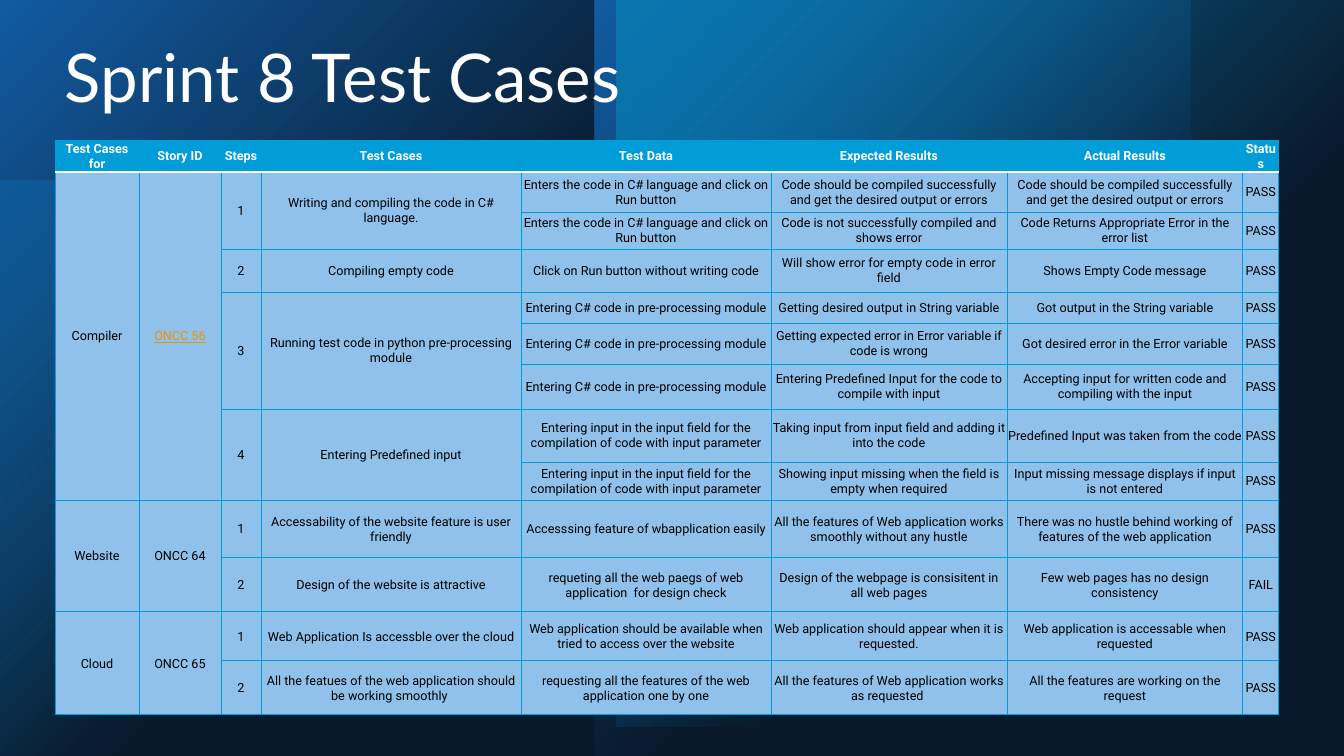
from pptx import Presentation
from pptx.dml.color import RGBColor as RGB
from pptx.enum.shapes import MSO_SHAPE as Shape
from pptx.enum.text import MSO_ANCHOR as Anchor, PP_ALIGN as Align
from pptx.oxml import parse_xml as to_xml
from pptx.oxml.ns import nsdecls
from pptx.util import Pt

TITLE = "Sprint 8 Test Cases"
HEAD = ["Test Cases for", "Story ID", "Steps", "Test Cases", "Test Data",
        "Expected Results", "Actual Results", "Status"]
RUN = "Enters the code in C# language and click on Run button"
PRE = "Entering C# code in pre-processing module"
FIELD = "Entering input in the input field for the compilation of code with input parameter"
GOOD = "Code should be compiled successfully and get the desired output or errors"
ROWS = [
    HEAD,
    ["Compiler", "ONCC 56", "1", "Writing and compiling the code in C# language.",
     RUN, GOOD, GOOD, "PASS"],
    [None, None, None, None, RUN, "Code is not successfully compiled and shows error",
     "Code Returns Appropriate Error in the error list", "PASS"],
    [None, None, "2", "Compiling empty code", "Click on Run button without writing code",
     "Will show error for empty code in error field", "Shows Empty Code message", "PASS"],
    [None, None, "3", "Running test code in python pre-processing module", PRE,
     "Getting desired output in String variable", "Got output in the String variable", "PASS"],
    [None, None, None, None, PRE, "Getting expected error in Error variable if code is wrong",
     "Got desired error in the Error variable", "PASS"],
    [None, None, None, None, PRE, "Entering Predefined Input for the code to compile with input",
     "Accepting input for written code and compiling with the input", "PASS"],
    [None, None, "4", "Entering Predefined input", FIELD,
     "Taking input from input field and adding it into the code",
     "Predefined Input was taken from the code ", "PASS"],
    [None, None, None, None, FIELD,
     "Showing input missing when the field is empty when required",
     "Input missing message displays if input is not entered", "PASS"],
    ["Website", "ONCC 64", "1", "Accessability of the website feature is user friendly",
     "Accesssing feature of wbapplication easily",
     "All the features of Web application works smoothly without any hustle",
     "There was no hustle behind working of features of the web application", "PASS"],
    [None, None, "2", "Design of the website is attractive",
     "requeting all the web paegs of web application  for design check",
     "Design of the webpage is consisitent in all web pages",
     "Few web pages has no design consistency", "FAIL"],
    ["Cloud", "ONCC 65", "1", "Web Application Is accessble over the cloud",
     "Web application should be available when tried to access over the website",
     "Web application should appear when it is requested.",
     "Web application is accessable when requested", "PASS"],
    [None, None, "2", "All the featues of the web application should be working smoothly ",
     "requesting all the features of the web application one by one",
     "All the features of Web application works as requested ",
     "All the features are working on the request", "PASS"],
]
WIDE = [84, 82, 40, 260, 250, 236, 236, 36]
HIGH = [32, 40, 37, 43, 31, 41, 45, 53, 38, 58, 54, 49, 54]

BLACK = RGB(0, 0, 0)
WHITE = RGB(255, 255, 255)
BLUE = RGB(0x0F, 0x6F, 0xC6)
CYAN = RGB(0x00, 0x9D, 0xD9)
NAVY = RGB(0x17, 0x40, 0x6D)
PALE = RGB(0x90, 0xC1, 0xEB)
GOLD = RGB(0xF4, 0x91, 0x00)

GLOWS = [
    ((0, 181, 576, 576), CYAN, 60),
    ((0, 0, 595, 756), BLUE, 100),
    ((595, 0, 596, 756), BLUE, 100),
    ((617, 0, 727, 727), CYAN, 100),
]
BODY_FONT = dict(name="Roboto", size=Pt(9), bold=False)
HEAD_FONT = dict(BODY_FONT, bold=True)
TITLE_FONT = dict(name="Lato", size=Pt(48))


def px(n):
    return round(n * 914400 / 100.8)


def box(dims):
    return [px(n) for n in dims]


def put(obj, vals):
    for key, val in vals.items():
        setattr(obj, key, val)


def write(para, text, font, tint):
    run = para.add_run()
    run.text = text
    put(run.font, font)
    run.font.color.rgb = tint


def fade(node, pct):
    node.append(to_xml(f'<a:alpha {nsdecls("a")} val="{pct * 1000}"/>'))


def rect(dims):
    shape = slide.shapes.add_shape(Shape.RECTANGLE, *box(dims))
    shape.shadow.inherit = False
    shape.line.fill.background()
    return shape


def glow(dims, tint, pct):
    fill = rect(dims).fill
    fill.gradient()
    fill.gradient_angle = 315
    for stop, pos, alpha in zip(fill.gradient_stops, (0, 0.6), (pct, 0)):
        stop.position = pos
        stop.color.rgb = tint
        fade(stop._gs[0], alpha)


def edge(cell, side, tint, width):
    cell._tc.get_or_add_tcPr().append(to_xml(
        f'<a:ln{side} {nsdecls("a")} w="{Pt(width)}"><a:solidFill>'
        f'<a:srgbClr val="{tint}"/></a:solidFill></a:ln{side}>'))


def style(cell, row):
    for side in "LRTB":
        pale = (row, side) in ((0, "B"), (1, "T"))
        edge(cell, side, WHITE if pale else CYAN, 1 if pale else 0.5)
    cell.fill.solid()
    cell.fill.fore_color.rgb = PALE if row else CYAN
    put(cell, dict(margin_left=px(1), margin_right=px(1), margin_top=px(1),
                   margin_bottom=0, vertical_anchor=Anchor.MIDDLE))


def fill_in(cell, row, text):
    para = cell.text_frame.paragraphs[0]
    para.alignment = Align.CENTER
    if row == 0:
        write(para, text, HEAD_FONT, WHITE)
    elif text == "ONCC 56":
        write(para, text, dict(BODY_FONT, underline=True), GOLD)
    else:
        write(para, text, BODY_FONT, BLACK)


deck = Presentation()
put(deck, dict(slide_width=px(1344), slide_height=px(756)))
slide = deck.slides.add_slide(deck.slide_layouts[6])
slide.background.fill.solid()
slide.background.fill.fore_color.rgb = BLACK

for part in GLOWS:
    glow(*part)
veil = rect((0, 0, 1344, 756)).fill
veil.solid()
veil.fore_color.rgb = NAVY
fade(veil._xPr.solidFill[0], 40)

frame = slide.shapes.add_table(len(ROWS), len(HEAD), *box((55, 140, sum(WIDE), sum(HIGH))))
grid = frame.table
for col, n in zip(grid.columns, WIDE):
    col.width = px(n)
for line, n in zip(grid.rows, HIGH):
    line.height = px(n)
for r, texts in enumerate(ROWS):
    for c, text in enumerate(texts):
        cell = grid.cell(r, c)
        style(cell, r)
        if text is None:
            continue
        fill_in(cell, r, text)
        last = r
        while last + 1 < len(ROWS) and ROWS[last + 1][c] is None:
            last += 1
        if last > r:
            cell.merge(grid.cell(last, c))

title = slide.shapes.add_textbox(*box((55, 40, 1224, 100))).text_frame
title.word_wrap = True
para = title.paragraphs[0]
para.line_spacing = 0.9
write(para, TITLE, TITLE_FONT, WHITE)

deck.save("out.pptx")
